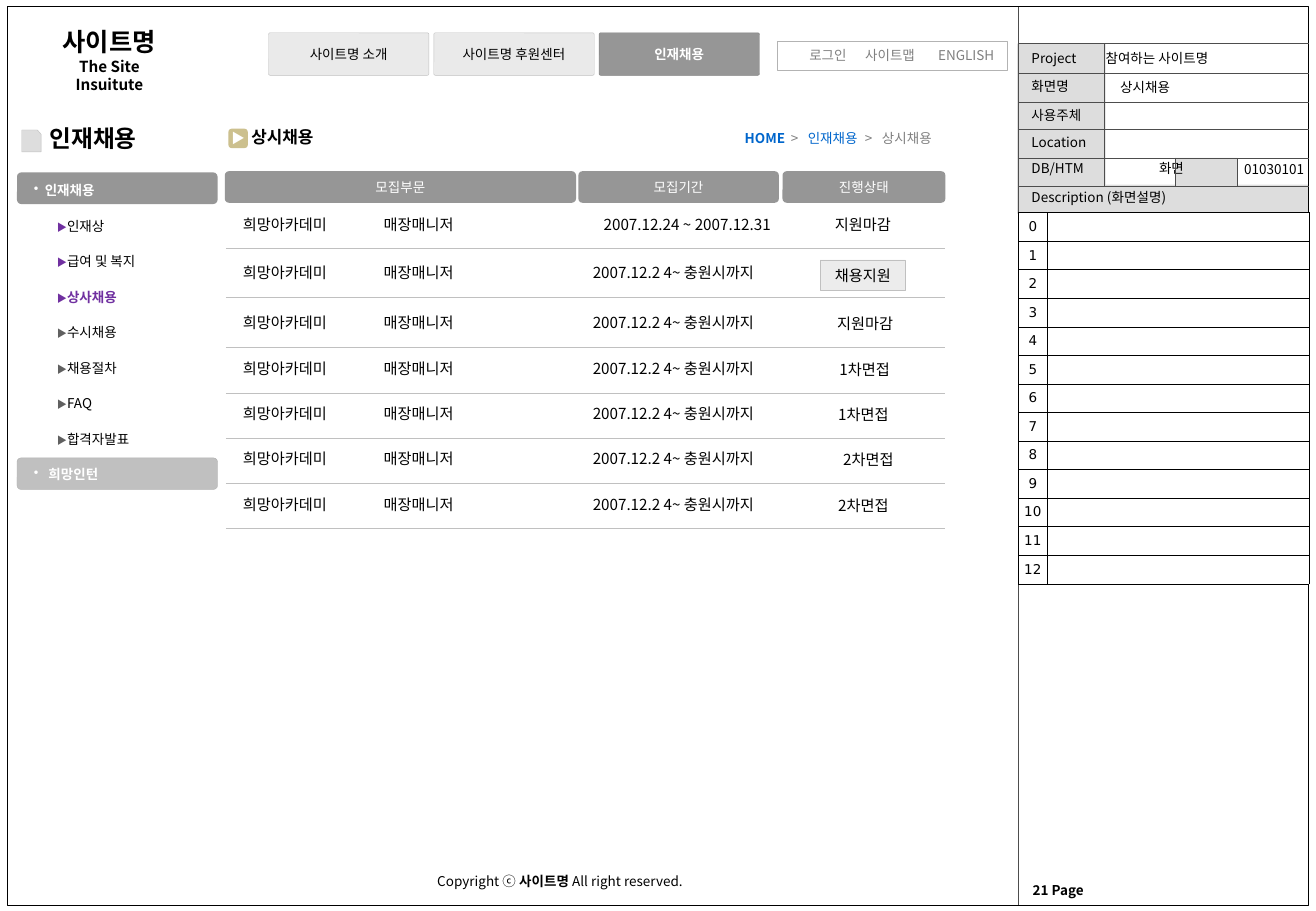
from dataclasses import dataclass
from typing import Optional

from lxml import etree
from pptx import Presentation
from pptx import util as u
from pptx.dml.color import RGBColor
from pptx.enum import shapes, text
from pptx.oxml import ns

HUE = {
    "black": "000000", "white": "FFFFFF", "panel": "DDDDDD", "rule": "4D4D4D",
    "dark": "969696", "mid": "808080", "silver": "C0C0C0", "tab": "EAEAEA",
    "edge": "B3B3B3", "button": "ECECEC", "gold": "CCC08E", "blue": "0066CC",
    "purple": "7030A0", "arrow": "606060",
}
SANS = "Noto Sans CJK KR"
FORM = shapes.MSO_SHAPE
LEFT, MID = text.PP_ALIGN.LEFT, text.PP_ALIGN.CENTER
Box = tuple[float, float, float, float]


@dataclass
class Run:
    words: str
    size: Optional[float] = None
    hue: Optional[str] = None
    bold: Optional[bool] = None


@dataclass
class Para:
    runs: list[Run]
    line: Optional[float] = None
    before: float = 0
    left: float = 0
    hang: float = 0
    tabs: tuple[float, ...] = ()


@dataclass
class Job:
    top: float
    rule: float
    state: str
    box: Box
    term: str = "2007.12.2 4~ 충원시까지"


deck = Presentation()
deck.slide_width, deck.slide_height = u.Inches(10.83), u.Inches(7.5)
page = deck.slides.add_slide(deck.slide_layouts[6])


def paint(name: str) -> RGBColor:
    return RGBColor.from_string(HUE[name])


def write(frame, body: "str | list[Para]", *, size: float = 8, hue: str = "black",
          bold: bool = False, align=LEFT, face: str = SANS, wrap: bool = False,
          middle: bool = False, inset: Box = (0.1, 0.05, 0.1, 0.05)) -> None:
    frame.word_wrap = wrap
    frame.vertical_anchor = text.MSO_ANCHOR.MIDDLE if middle else text.MSO_ANCHOR.TOP
    (frame.margin_left, frame.margin_top, frame.margin_right,
     frame.margin_bottom) = map(u.Inches, inset)
    paras = [Para([Run(body)])] if isinstance(body, str) else body
    for i, item in enumerate(paras):
        para = frame.add_paragraph() if i else frame.paragraphs[0]
        props = para._p.get_or_add_pPr()
        if item.left:
            props.set("marL", str(u.Inches(item.left)))
            props.set("indent", str(u.Inches(-item.hang)))
        if item.hang:
            etree.SubElement(props, ns.qn("a:buChar"), char="•")
        if item.tabs:
            stops = etree.SubElement(props, ns.qn("a:tabLst"))
            for stop in item.tabs:
                etree.SubElement(stops, ns.qn("a:tab"), pos=str(u.Inches(stop)), algn="l")
        para.alignment = align
        if item.line:
            para.line_spacing = item.line
        if item.before:
            para.space_before = u.Pt(item.before)
        for part in item.runs:
            run = para.add_run()
            run.text = part.words
            font = run.font
            font.size = u.Pt(part.size or size)
            font.bold = bold if part.bold is None else part.bold
            font.color.rgb = paint(part.hue or hue)
            font.name = face
            latin = run._r.rPr.find(ns.qn("a:latin"))
            latin.addnext(etree.Element(ns.qn("a:ea"), typeface=face))


def label(box: Box, body: "str | list[Para]", **style) -> None:
    write(page.shapes.add_textbox(*map(u.Inches, box)).text_frame, body, **style)


def block(box: Box, fill: Optional[str] = None, edge: Optional[str] = None,
          kind=FORM.RECTANGLE, curve: Optional[float] = None):
    shape = page.shapes.add_shape(kind, *map(u.Inches, box))
    shape.shadow.inherit = False
    if curve is not None:
        shape.adjustments[0] = curve
    if fill:
        shape.fill.solid()
        shape.fill.fore_color.rgb = paint(fill)
    else:
        shape.fill.background()
    if edge:
        shape.line.color.rgb = paint(edge)
        shape.line.width = u.Pt(0.25)
    else:
        shape.line.fill.background()
    return shape


def pill(box: Box, fill: str, edge: Optional[str] = None, curve: float = 0.13):
    return block(box, fill, edge, FORM.ROUNDED_RECTANGLE, curve)


def rule(x: float, y: float, to_x: float, to_y: float, hue: str = "rule") -> None:
    line = page.shapes.add_connector(shapes.MSO_CONNECTOR.STRAIGHT,
                                     *map(u.Inches, (x, y, to_x, to_y)))
    line.line.color.rgb = paint(hue)
    line.line.width = u.Pt(0.25)
    etree.SubElement(line._element.spPr, ns.qn("a:effectLst"))


# Project panel and page frame
for box in ((9.67, 1.3, 0.51, 0.25), (8.37, 1.52, 2.4, 0.24), (8.37, 0.36, 0.73, 1.18)):
    block(box, "panel")
label((8.4, 7.21, 0.64, 0.22), "21 Page", bold=True)
rule(8.38, 0.05, 8.38, 7.45)
fields = [("Project\t참여하는 사이트명", None, (0.61,)), ("화면명", 1.6, ()),
          ("사용주체", 1.6, ()), ("Location", 1.5, ()),
          ("DB/HTM\t화면", 1.5, (1.05,)), ("Description (화면설명)", 1.6, ())]
label((8.39, 0.36, 2.38, 1.4),
      [Para([Run(words)], line, 1.6 if i else 0, tabs=tabs)
       for i, (words, line, tabs) in enumerate(fields)], wrap=True)
block((0.06, 0.05, 10.71, 7.4), edge="black")
for y in (0.36, 0.6, 0.84, 1.06, 1.3, 1.53, 1.76):
    rule(8.39, y, 10.77, y)
for x, y in ((9.09, 0.36), (9.67, 1.3), (10.18, 1.3)):
    rule(x, y, x, 1.53)
label((9.12, 0.6, 0.75, 0.23), "상시채용")
label((10.14, 1.28, 0.69, 0.23), "01030101", middle=True, inset=(0.1, 0.05, 0, 0.05))

# Site name, top menu and footer
label((3.5, 7.14, 2.37, 0.23), [Para([
    Run("Copyright ⓒ "), Run("사이트명 ", bold=True), Run("All right reserved.")])])
label((0.42, 0.17, 0.96, 0.6),
      [Para([Run("사이트명", 15)]), Para([Run("The Site Insuitute", 9)])],
      bold=True, align=MID, wrap=True, inset=(0.05, 0.05, 0.05, 0.05))
write(block((6.4, 0.34, 1.89, 0.24), edge="edge").text_frame,
      [Para([Run("로그인\t사이트맵\tENGLISH")], tabs=(0.46, 1.06))],
      hue="mid", inset=(0.26, 0.05, 0.05, 0.05))
for i, words in enumerate(("사이트명 소개", "사이트명 후원센터", "인재채용")):
    live = i == 2
    tab = pill((2.21 + 1.36 * i, 0.27, 1.32, 0.35), "dark" if live else "tab",
               "mid" if live else "silver", 0.04)
    write(tab.text_frame, words, hue="white" if live else "black", bold=live,
          align=MID, middle=True)

# Side menu
pill((0.14, 3.77, 1.65, 0.26), "silver", "edge")
pill((0.14, 1.42, 1.65, 0.26), "dark")
label((0.31, 0.96, 1.2, 0.35), "인재채용", size=14, bold=True, middle=True)
card = block((0.18, 1.07, 0.16, 0.18), "panel", "silver", FORM.FLOWCHART_CARD)
card._element.spPr.xfrm.set("flipH", "1")
menu = [Para([Run("인재채용", hue="white", bold=True)], 2.2, left=0.09, hang=0.09)]
for i, words in enumerate(("인재상", "급여 및 복지", "상사채용", "수시채용",
                           "채용절차", "FAQ", "합격자발표")):
    live = i == 2
    menu.append(Para([Run("▶", 6, "purple" if i < 3 else "arrow"),
                      Run(words, hue="purple" if live else "black", bold=live)],
                     2.2, left=0.19))
menu.append(Para([Run("희망인턴", hue="white", bold=True)], 2.2, left=0.12, hang=0.12))
label((0.18, 1.29, 1.45, 2.74), menu, wrap=True)

# Page title and trail
label((1.97, 0.99, 0.75, 0.27), "상시채용", size=10, bold=True)
write(pill((1.88, 1.06, 0.16, 0.16), "gold", curve=0.17).text_frame, "▶",
      hue="white", align=MID, middle=True)
label((6.03, 1.02, 1.8, 0.23), [Para([
    Run("HOME", hue="blue", bold=True), Run("\t>\t"), Run("인재채용", hue="blue"),
    Run("\t>\t상시채용")], tabs=(0.38, 0.52, 0.99, 1.13))], hue="mid")

# Job list
for x, wide, words in ((1.85, 2.89, "모집부문"), (4.76, 1.65, "모집기간"),
                       (6.44, 1.34, "진행상태")):
    write(pill((x, 1.41, wide, 0.26), "dark").text_frame, words, hue="white",
          align=MID, middle=True)
jobs = [
    Job(1.72, 2.04, "지원마감", (6.75, 1.72, 0.7, 0.25), "2007.12.24 ~ 2007.12.31"),
    Job(2.12, 2.45, "채용지원", (6.75, 2.14, 0.7, 0.25)),
    Job(2.53, 2.86, "지원마감", (6.77, 2.54, 0.7, 0.25)),
    Job(2.91, 3.24, "1차면접", (6.79, 2.92, 0.65, 0.25)),
    Job(3.28, 3.61, "1차면접", (6.78, 3.29, 0.65, 0.25)),
    Job(3.65, 3.98, "2차면접", (6.82, 3.66, 0.65, 0.25)),
    Job(4.03, 4.35, "2차면접", (6.78, 4.04, 0.65, 0.25)),
]
for i, job in enumerate(jobs):
    label((1.9, job.top, 0.99, 0.25), "희망아카데미", size=9)
    label((3.06, job.top, 0.83, 0.25), "매장매니저", size=9)
    label((4.78, job.top, 1.75, 0.25), job.term, size=9, align=LEFT if i else MID)
    if job.state == "채용지원":
        block(job.box, "button", "silver")
    label(job.box, job.state, size=9, align=MID)
    rule(1.86, job.rule, 7.78, job.rule, "silver")

# Notes table
count = 13
grid = page.shapes.add_table(count, 2, *map(u.Inches, (8.38, 1.75, 2.39, 3.06))).table
grid.first_row = grid.horz_banding = False
for col, wide in zip(grid.columns, (0.24, 2.15)):
    col.width = u.Inches(wide)
for i, row in enumerate(grid.rows):
    row.height = u.Inches(3.06 / count)
    for j, cell in enumerate(row.cells):
        props = cell._tc.get_or_add_tcPr()
        for side in ("a:lnL", "a:lnR", "a:lnT", "a:lnB"):
            edge = etree.SubElement(props, ns.qn(side), w=str(u.Pt(0.25)))
            fill = etree.SubElement(edge, ns.qn("a:solidFill"))
            etree.SubElement(fill, ns.qn("a:srgbClr"), val=HUE["black"])
        cell.fill.solid()
        cell.fill.fore_color.rgb = paint("white")
        cell.margin_left = cell.margin_right = u.Inches(0.04)
        cell.vertical_anchor = text.MSO_ANCHOR.MIDDLE
        if j == 0:
            write(cell.text_frame, str(i), align=MID, face="DejaVu Sans",
                  wrap=True, middle=True, inset=(0.02, 0.05, 0.02, 0.05))
        else:
            etree.SubElement(cell.text_frame.paragraphs[0]._p,
                             ns.qn("a:endParaRPr"), sz="800")

deck.save("out.pptx")
